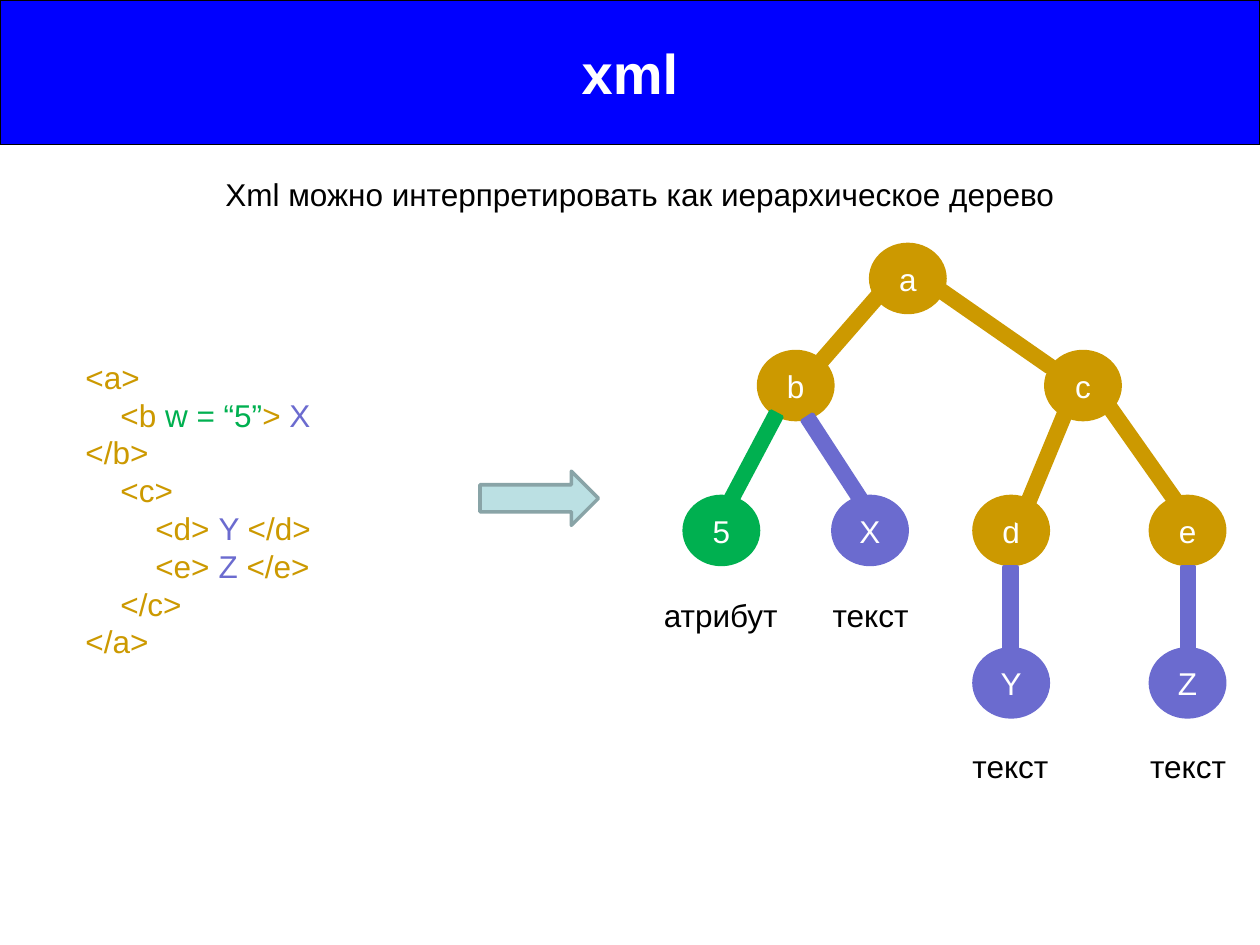
"""Build a slide that shows an XML fragment as a hierarchical tree."""
from pptx import Presentation
from pptx.dml.color import RGBColor
from pptx.enum.shapes import MSO_SHAPE as SHAPE
from pptx.enum.text import MSO_ANCHOR as ANCHOR, MSO_AUTO_SIZE as AUTO_SIZE, PP_ALIGN as ALIGN
from pptx.util import Inches, Pt

COLORS = {
    "banner": "0000FF", "black": "000000", "white": "FFFFFF",
    "tag": "CC9900", "attribute": "00B050", "text": "6B6BCF",
    "arrow": "BBE0E3", "arrow_edge": "89A4A7",
}


def add_figure(kind, left, top, width, height, fill, edge):
    figure = slide.shapes.add_shape(kind, Inches(left), Inches(top), Inches(width), Inches(height))
    figure.shadow.inherit = False
    figure.fill.solid()
    figure.fill.fore_color.rgb = RGBColor.from_string(COLORS[fill])
    figure.line.color.rgb = RGBColor.from_string(COLORS[edge])
    figure.line.width = Pt(2)
    return figure


def add_text(left, top, width, height, lines):
    box = slide.shapes.add_textbox(Inches(left), Inches(top), Inches(width), Inches(height))
    frame = box.text_frame
    frame.word_wrap = False
    frame.auto_size = AUTO_SIZE.SHAPE_TO_FIT_TEXT
    for index, pieces in enumerate(lines):
        line = frame.paragraphs[0] if index == 0 else frame.add_paragraph()
        line.font.name = "Arial"
        line.font.size = Pt(18)
        for words, color in pieces:
            run = line.add_run()
            run.text = words
            run.font.color.rgb = RGBColor.from_string(COLORS[color])


prs = Presentation()
prs.slide_width, prs.slide_height = Inches(10), Inches(7.5)
slide = prs.slides.add_slide(prs.slide_layouts[5])

banner = slide.shapes.title
banner.left, banner.top, banner.width, banner.height = 0, 0, Inches(10), Inches(1.15)
banner.fill.solid()
banner.fill.fore_color.rgb = RGBColor.from_string(COLORS["banner"])
banner.line.color.rgb = RGBColor.from_string(COLORS["black"])
banner.line.width = Pt(0.75)
banner.text_frame.text = "xml"
banner.text_frame.vertical_anchor = ANCHOR.MIDDLE
heading = banner.text_frame.paragraphs[0]
heading.alignment = ALIGN.CENTER
heading.font.name = "Arial"
heading.font.size = Pt(32)
heading.font.bold = True
heading.font.color.rgb = RGBColor.from_string(COLORS["white"])

add_text(1.69, 1.34, 6.8, 0.4, [[("Xml можно интерпретировать как иерархическое дерево", "black")]])

add_text(0.58, 2.79, 2.55, 2.2, [
    [("<a>", "tag")],
    [("    <b ", "tag"), ("w = “5”", "attribute"), ("> ", "tag"), ("X ", "text"), ("</b>", "tag")],
    [("    <c>", "tag")],
    [("        <d> ", "tag"), ("Y ", "text"), ("</d>", "tag")],
    [("        <e> ", "tag"), ("Z ", "text"), ("</e>", "tag")],
    [("    </c>", "tag")],
    [("</a>", "tag")],
])

levels = [
    (1.94, [("a", 6.91, "tag")]),
    (2.79, [("b", 6.02, "tag"), ("c", 8.3, "tag")]),
    (3.94, [("5", 5.43, "attribute"), ("X", 6.61, "text"), ("d", 7.73, "tag"), ("e", 9.13, "tag")]),
    (5.15, [("Y", 7.73, "text"), ("Z", 9.13, "text")]),
]
for top, nodes in levels:
    for name, left, color in nodes:
        node = add_figure(SHAPE.OVAL, left, top, 0.59, 0.54, color, color)
        node.text_frame.text = name
        node.text_frame.vertical_anchor = ANCHOR.MIDDLE
        label = node.text_frame.paragraphs[0]
        label.alignment = ALIGN.CENTER
        label.font.name = "Arial"
        label.font.size = Pt(18)
        label.font.color.rgb = RGBColor.from_string(COLORS["white"])

branches = [
    (6.36, 2.55, 0.78, 311.1, "tag"),
    (5.59, 3.58, 0.78, 297.9, "attribute"),
    (6.23, 3.59, 0.78, 237, "text"),
    (7.38, 2.56, 1.05, 214.8, "tag"),
    (8.55, 3.57, 1.06, 234.8, "tag"),
    (7.77, 3.61, 1.05, 112.5, "tag"),
    (7.63, 4.84, 0.78, 270, "text"),
    (9.04, 4.84, 0.78, 270, "text"),
]
for left, top, length, angle, color in branches:
    branch = add_figure(SHAPE.PARALLELOGRAM, left, top, length, 0.1, color, color)
    branch.adjustments[0] = 0
    branch.rotation = angle

captions = [
    ("атрибут", 5.17, 4.68, 1.11),
    ("текст", 6.51, 4.68, 0.8),
    ("текст", 7.62, 5.88, 0.8),
    ("текст", 9.03, 5.88, 0.8),
]
for caption, left, top, width in captions:
    add_text(left, top, width, 0.4, [[(caption, "black")]])

add_figure(SHAPE.RIGHT_ARROW, 3.81, 3.74, 0.94, 0.43, "arrow", "arrow_edge")

prs.save("out.pptx")
